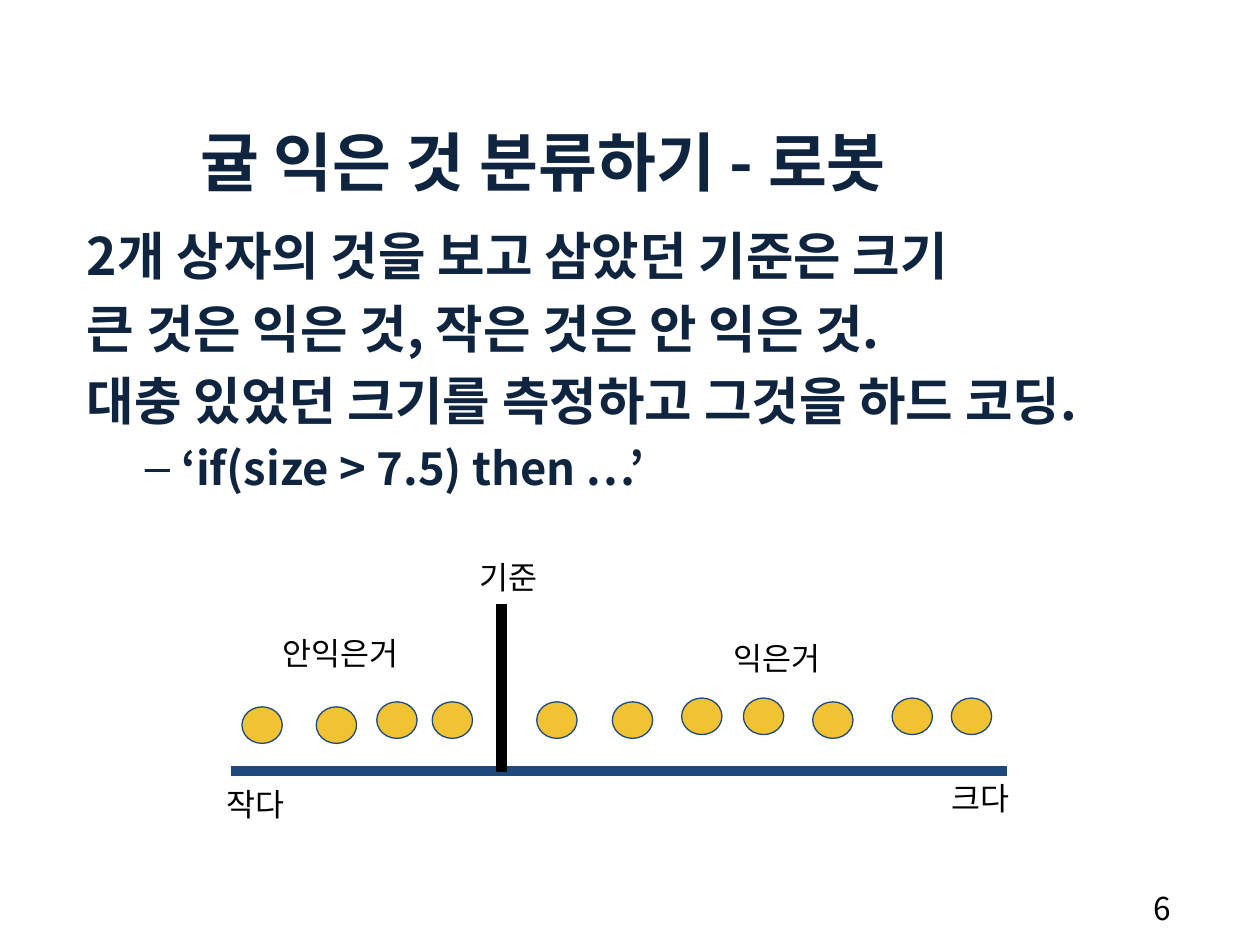
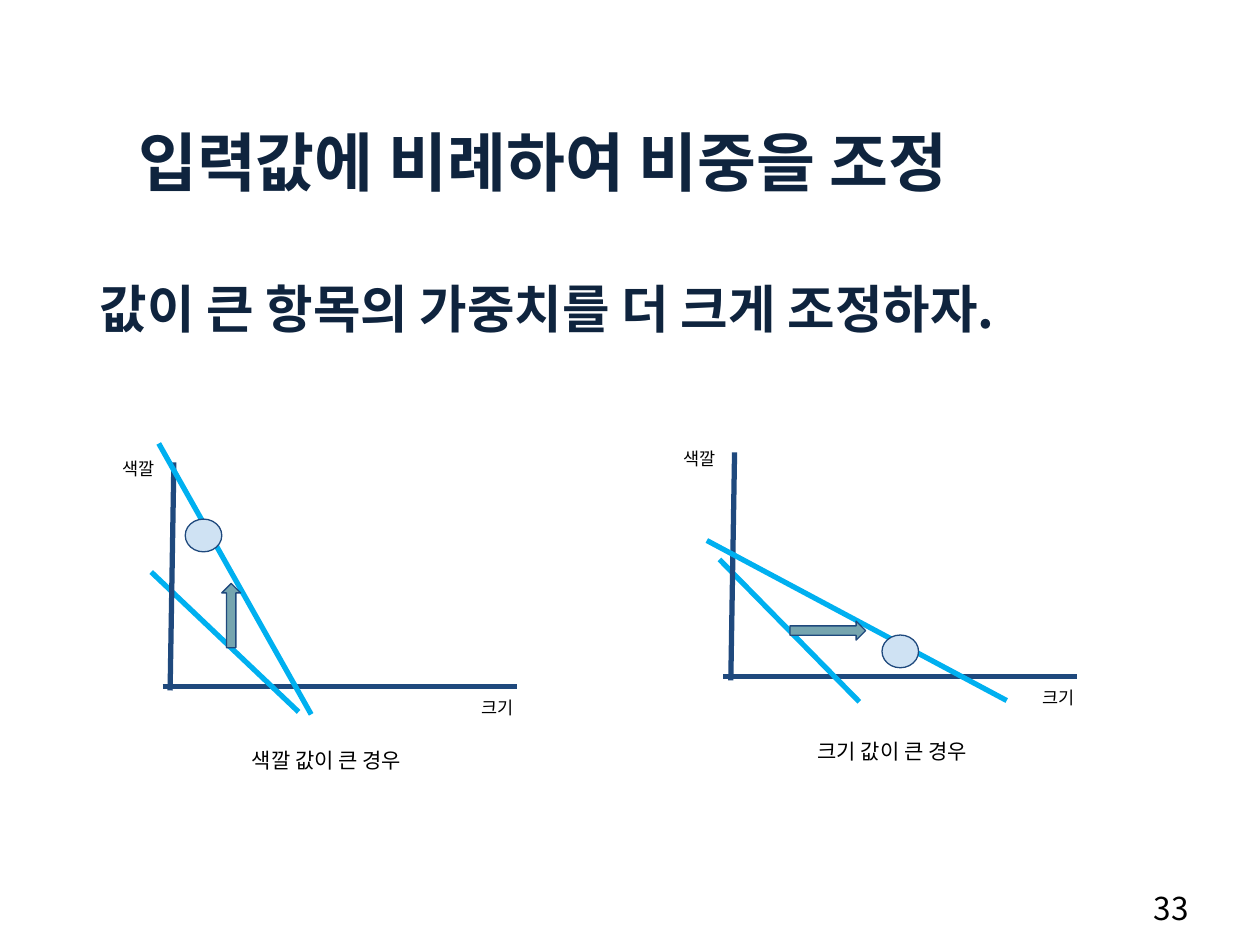
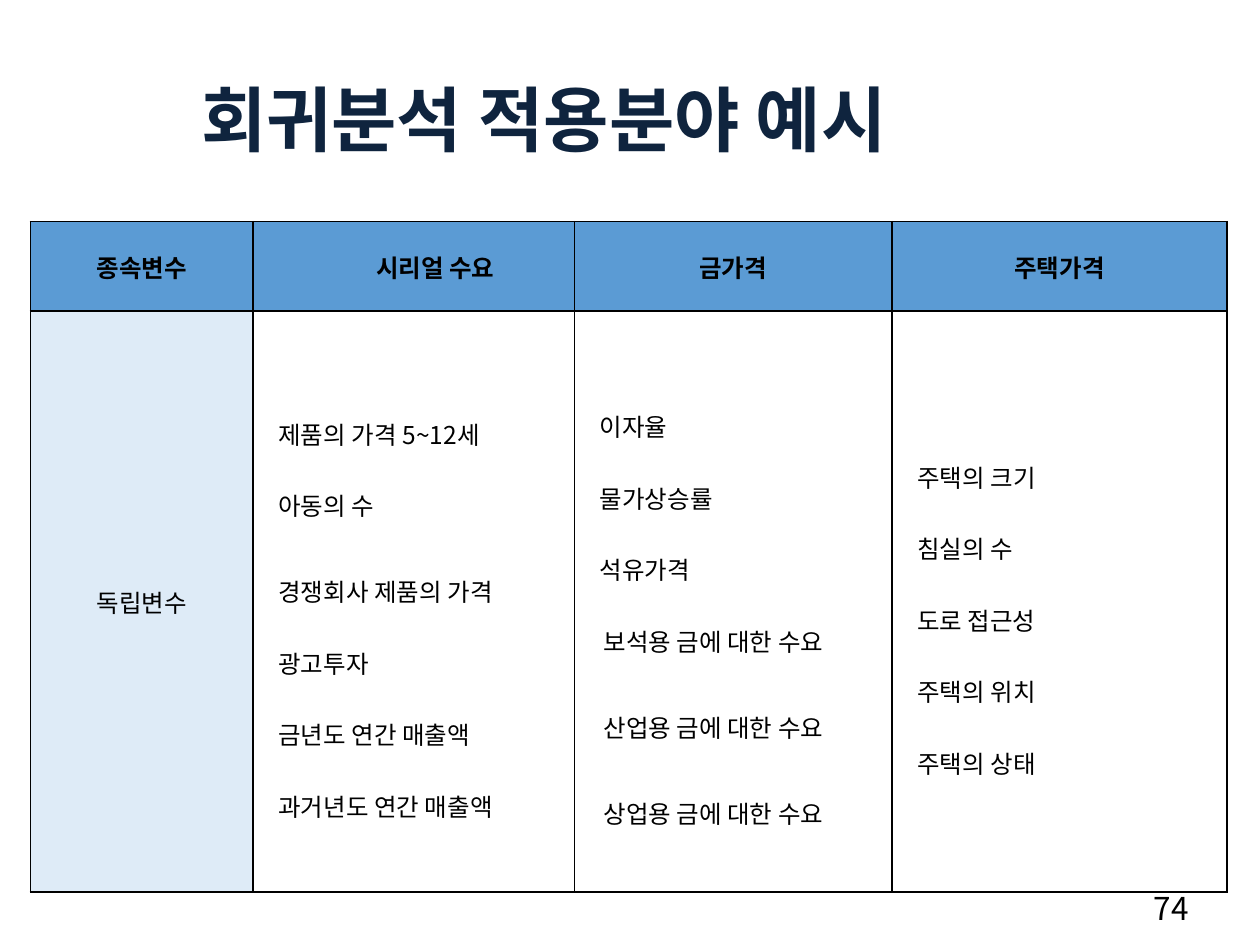
from lxml.etree import SubElement
from pptx import Presentation
from pptx.dml.color import RGBColor as RGB
from pptx.enum.shapes import MSO_CONNECTOR as CONN, MSO_SHAPE as SHAPE
from pptx.enum.text import MSO_ANCHOR as ANCHOR, MSO_AUTO_SIZE as AUTO, PP_ALIGN as ALIGN
from pptx.oxml.ns import qn
from pptx.util import Inches, Pt

FONT = "Noto Sans CJK KR"
COLORS = {
    "title": "0F243E", "text": "000000", "line": "1F497D", "boundary": "00B0F0",
    "tangerine": "F1C232", "sample": "CFE2F3", "arrow": "76A5AF",
    "header": "5B9BD4", "side": "DEEBF7",
}
TITLE_BOX = (0, 0.92, 8.62, 0.71)


def rgb(name):
    return RGB.from_string(COLORS[name])


def write(tf, text, size=18, color="text", bold=False, align=ALIGN.LEFT, level=0,
          indent=0, hanging=0, bullet=None, before=0, spacing=None):
    p = tf.paragraphs[0]
    if p.runs:
        p = tf.add_paragraph()
    p.level, p.alignment = level, align
    pPr = p._p.get_or_add_pPr()
    pPr.set("marL", str(Inches(indent)))
    pPr.set("indent", str(Inches(-hanging)))
    if bullet:
        SubElement(pPr, qn("a:buChar")).set("char", bullet)
    else:
        SubElement(pPr, qn("a:buNone"))
    p.space_before = Pt(before)
    if spacing:
        p.line_spacing = spacing
    for i, line in enumerate(text.split("\n")):
        if i:
            p.add_line_break()
        r = p.add_run()
        r.text = line
        f = r.font
        f.size, f.bold, f.name = Pt(size), bold, FONT
        f.color.rgb = rgb(color)
        SubElement(r._r.get_or_add_rPr(), qn("a:ea")).set("typeface", FONT)


def place(sp, box):
    sp.left, sp.top, sp.width, sp.height = map(Inches, box)


def set_margins(target, left, top, right, bottom):
    target.margin_left, target.margin_top = Inches(left), Inches(top)
    target.margin_right, target.margin_bottom = Inches(right), Inches(bottom)


def add_label(s, text, x, y, w=0.82, h=0.39, inset=0.1, wrap=True, **fmt):
    tf = s.shapes.add_textbox(*map(Inches, (x, y, w, h))).text_frame
    tf.word_wrap = wrap
    set_margins(tf, inset, inset, inset, inset)
    write(tf, text, **fmt)
    return tf


def add_slide(prs, layout, number, title, box=TITLE_BOX, size=36.6, **fmt):
    s = prs.slides.add_slide(prs.slide_layouts[layout])
    place(s.shapes.title, box)
    tf = s.shapes.title.text_frame
    tf.auto_size, tf.vertical_anchor = AUTO.NONE, ANCHOR.MIDDLE
    write(tf, title, size=size, color="title", bold=True, align=ALIGN.CENTER, **fmt)
    num = add_label(s, number, 9.06, 7.01, 0.52, 0.4, wrap=False)
    set_margins(num, 0.1, 0.05, 0.1, 0.05)
    return s


def add_body(s, box, lines):
    sp = s.placeholders[1]
    place(sp, box)
    sp.text_frame.auto_size = AUTO.NONE
    for i, line in enumerate(lines):
        write(sp.text_frame, line, size=29.5, color="title", bold=True, before=5.9 if i else 0)
    return sp.text_frame


def add_line(s, x1, y1, x2, y2, color="line", width=3):
    c = s.shapes.add_connector(CONN.STRAIGHT, *map(Inches, (x1, y1, x2, y2)))
    c.line.color.rgb, c.line.width = rgb(color), Pt(width)
    SubElement(c._element.spPr, qn("a:effectLst"))


def add_mark(s, kind, box, fill, rotation=0):
    sp = s.shapes.add_shape(kind, *map(Inches, box))
    sp.shadow.inherit = False
    sp.fill.solid()
    sp.fill.fore_color.rgb = rgb(fill)
    sp.line.color.rgb, sp.line.width = rgb("line"), Pt(0.75)
    sp.rotation = rotation


def add_plot(s, x, y, before, after, sample, arrow, rotation, caption, caption_at):
    add_line(s, x, y, x + 2.81, y)
    add_line(s, *before, color="boundary")
    add_line(s, x + 0.09, y - 1.78, x + 0.06, y + 0.03)
    add_label(s, "크기", x + 2.25, y, size=10, align=ALIGN.CENTER)
    add_label(s, "색깔", x - 0.6, y - 1.9, size=10, align=ALIGN.CENTER)
    add_line(s, *after, color="boundary")
    add_mark(s, SHAPE.FLOWCHART_CONNECTOR, (*sample, 0.29, 0.26), "sample")
    add_mark(s, SHAPE.RIGHT_ARROW, arrow, "arrow", rotation)
    add_label(s, caption, *caption_at, 1.64, 0.58, size=12)


def format_cell(cell, fill=None, left=0):
    tcPr = cell._tc.get_or_add_tcPr()
    for side in ("a:lnL", "a:lnR", "a:lnT", "a:lnB"):
        ln = SubElement(tcPr, qn(side))
        ln.set("w", str(Pt(1)))
        paint = SubElement(ln, qn("a:solidFill"))
        SubElement(paint, qn("a:srgbClr")).set("val", COLORS["text"])
    if fill:
        cell.fill.solid()
        cell.fill.fore_color.rgb = rgb(fill)
    else:
        cell.fill.background()
    cell.vertical_anchor = ANCHOR.MIDDLE
    set_margins(cell, left, 0, 0, 0)


def add_variable_table(s, columns):
    widths, heights = (1.77, 2.55, 2.52, 2.66), (0.71, 4.61)
    box = (0.24, 1.76, sum(widths), sum(heights))
    table = s.shapes.add_table(2, len(widths), *map(Inches, box)).table
    table.first_row = table.horz_banding = False
    for row, height in zip(table.rows, heights):
        row.height = Inches(height)
    for i, (width, (head, indent, items)) in enumerate(zip(widths, columns)):
        table.columns[i].width = Inches(width)
        top, bottom = table.cell(0, i), table.cell(1, i)
        format_cell(top, "header")
        write(top.text_frame, head, size=14, bold=True, align=ALIGN.CENTER, indent=indent)
        if i == 0:
            format_cell(bottom, "side")
            write(bottom.text_frame, items[0][0], size=14, align=ALIGN.CENTER)
            continue
        format_cell(bottom, left=0.2)
        for text, inset, before in items:
            write(bottom.text_frame, text, size=14, indent=inset, before=before, spacing=2.0)


def plain(*texts):
    return [(text, 0, 0) for text in texts]


def build_robot_slide(prs):
    s = add_slide(prs, 1, "6", "귤 익은 것 분류하기 - 로봇")
    tf = add_body(s, (0.59, 1.73, 8.62, 5.21), [
        "2개 상자의 것을 보고 삼았던 기준은 크기",
        "큰 것은 익은 것, 작은 것은 안 익은 것.",
        "대충 있었던 크기를 측정하고 그것을 하드 코딩.",
    ])
    write(tf, "‘if(size > 7.5) then …’", size=25.9, color="title", bold=True,
          level=1, indent=0.75, hanging=0.29, bullet="–", before=5.2)
    add_line(s, 1.83, 6.12, 7.99, 6.12, width=6)
    tangerines = [
        (1.92, 5.61), (2.51, 5.61), (2.99, 5.57), (3.43, 5.57), (4.26, 5.57), (4.86, 5.57),
        (5.41, 5.54), (5.9, 5.54), (6.45, 5.57), (7.08, 5.54), (7.55, 5.54),
    ]
    for x, y in tangerines:
        add_mark(s, SHAPE.FLOWCHART_CONNECTOR, (x, y, 0.32, 0.29), "tangerine")
    add_line(s, 3.98, 4.79, 3.98, 6.13, color="text", width=6)
    for text, x, y, w in [
        ("크다", 7.45, 6.08, 0.82), ("작다", 1.7, 6.13, 0.82), ("기준", 3.71, 4.33, 0.82),
        ("익은거", 5.72, 4.97, 1.18), ("안익은거", 2.14, 4.93, 1.45),
    ]:
        add_label(s, text, x, y, w)


def build_weight_slide(prs):
    s = add_slide(prs, 1, "33", "입력값에 비례하여 비중을 조정")
    add_body(s, (0.69, 2.15, 8.62, 4.59), ["값이 큰 항목의 가중치를 더 크게 조정하자."])
    add_plot(s, 5.74, 5.37, before=(5.71, 4.44, 6.82, 5.57), after=(5.61, 4.29, 7.99, 5.56),
             sample=(7, 5.04), arrow=(6.27, 4.93, 0.6, 0.15), rotation=0,
             caption="크기 값이 큰 경우", caption_at=(6.39, 5.76))
    add_plot(s, 1.29, 5.45, before=(1.2, 4.54, 2.37, 5.65), after=(1.26, 3.52, 2.47, 5.67),
             sample=(1.47, 4.12), arrow=(1.58, 4.81, 0.51, 0.15), rotation=270,
             caption="색깔 값이 큰 경우", caption_at=(1.9, 5.83))


def build_regression_slide(prs):
    s = add_slide(prs, 5, "74", "회귀분석 적용분야 예시", (0, 0.95, 8.62, 0.35),
                  size=40.6, indent=0.01, spacing=Pt(21.3))
    tf = s.shapes.title.text_frame
    tf.auto_size = AUTO.SHAPE_TO_FIT_TEXT
    set_margins(tf, 0, 0, 0, 0)
    add_variable_table(s, [
        ("종속변수", 0, plain("독립변수")),
        ("시리얼 수요", 0.34, [
            ("제품의 가격 5~12세\n아동의 수", 0, 0),
            ("경쟁회사 제품의 가격", 0, 8.4),
            *plain("광고투자", "금년도 연간 매출액", "과거년도 연간 매출액"),
        ]),
        ("금가격", 0, [
            *plain("이자율", "물가상승률", "석유가격"),
            ("보석용 금에 대한 수요", 0.03, 0),
            ("산업용 금에 대한 수요", 0.03, 8.4),
            ("상업용 금에 대한 수요", 0.03, 8.4),
        ]),
        ("주택가격", 0, plain("주택의 크기", "침실의 수", "도로 접근성", "주택의 위치", "주택의 상태")),
    ])


def main():
    prs = Presentation()
    prs.slide_width, prs.slide_height = Inches(10), Inches(7.5)
    build_robot_slide(prs)
    build_weight_slide(prs)
    build_regression_slide(prs)
    prs.save("out.pptx")


if __name__ == "__main__":
    main()
